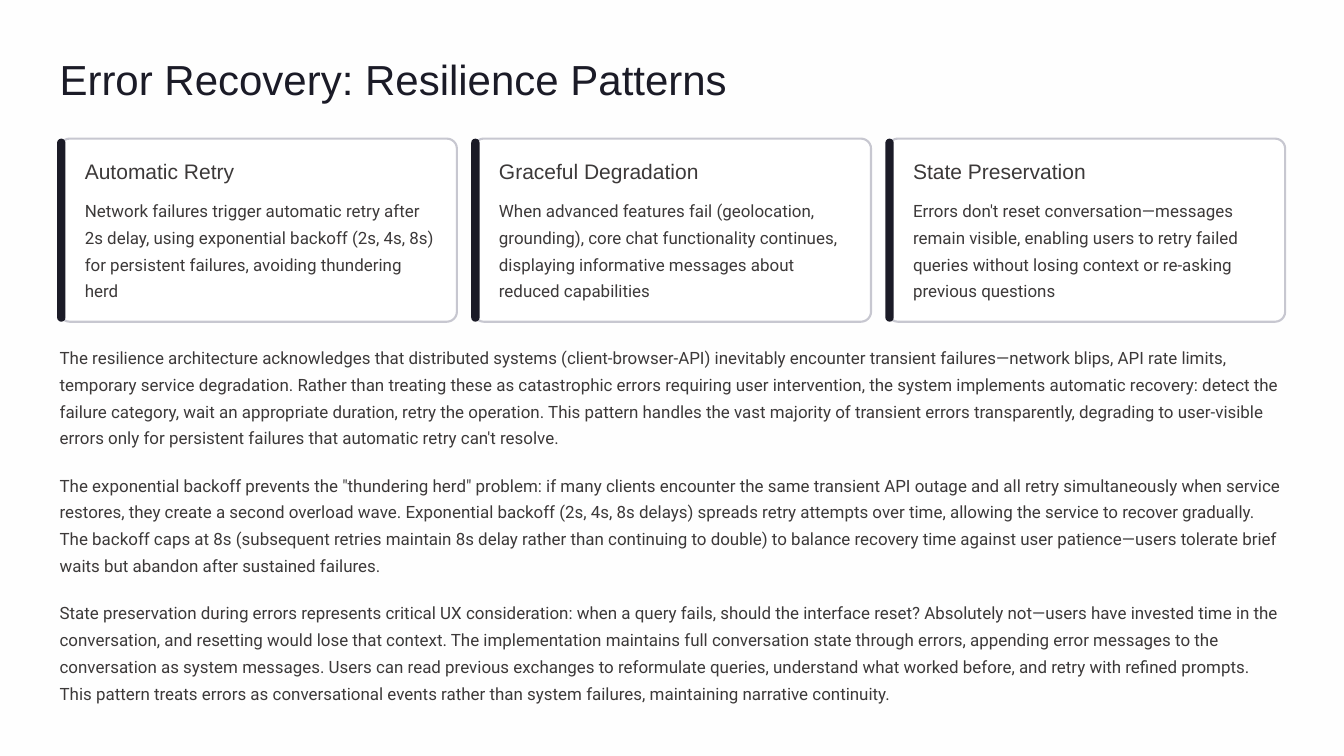
from dataclasses import dataclass

from pptx import Presentation
from pptx.dml.color import RGBColor
from pptx.enum.shapes import MSO_SHAPE
from pptx.enum.text import MSO_ANCHOR
from pptx.shapes.autoshape import Shape
from pptx.slide import Slide
from pptx.util import Inches, Pt

INK = "1B1B27"
BODY = "3C3939"
BORDER = "C7C7D0"
WHITE = "FFFFFF"
PAGE = "FEFEFE"

LEFT = 0.71
CARD_TOP = 1.65
CARD_WIDTH = 4.73
CARD_HEIGHT = 2.18
CARD_PITCH = 4.93
CARD_PAD = 0.3
PARAGRAPH_TOP = 4.06
PARAGRAPH_PITCH = 1.52
PARAGRAPH_WIDTH = 14.59
FOUR_LINES = 1.29


@dataclass
class Card:
    title: str
    text: str


CARDS = [
    Card(
        "Automatic Retry",
        "Network failures trigger automatic retry after 2s delay, using exponential "
        "backoff (2s, 4s, 8s) for persistent failures, avoiding thundering herd",
    ),
    Card(
        "Graceful Degradation",
        "When advanced features fail (geolocation, grounding), core chat functionality "
        "continues, displaying informative messages about reduced capabilities",
    ),
    Card(
        "State Preservation",
        "Errors don't reset conversation—messages remain visible, enabling users to "
        "retry failed queries without losing context or re-asking previous questions",
    ),
]

PARAGRAPHS = [
    "The resilience architecture acknowledges that distributed systems "
    "(client-browser-API) inevitably encounter transient failures—network blips, API "
    "rate limits, temporary service degradation. Rather than treating these as "
    "catastrophic errors requiring user intervention, the system implements automatic "
    "recovery: detect the failure category, wait an appropriate duration, retry the "
    "operation. This pattern handles the vast majority of transient errors "
    "transparently, degrading to user-visible errors only for persistent failures that "
    "automatic retry can't resolve.",
    'The exponential backoff prevents the "thundering herd" problem: if many clients '
    "encounter the same transient API outage and all retry simultaneously when service "
    "restores, they create a second overload wave. Exponential backoff (2s, 4s, 8s "
    "delays) spreads retry attempts over time, allowing the service to recover "
    "gradually. The backoff caps at 8s (subsequent retries maintain 8s delay rather "
    "than continuing to double) to balance recovery time against user patience—users "
    "tolerate brief waits but abandon after sustained failures.",
    "State preservation during errors represents critical UX consideration: when a "
    "query fails, should the interface reset? Absolutely not—users have invested time "
    "in the conversation, and resetting would lose that context. The implementation "
    "maintains full conversation state through errors, appending error messages to the "
    "conversation as system messages. Users can read previous exchanges to reformulate "
    "queries, understand what worked before, and retry with refined prompts. This "
    "pattern treats errors as conversational events rather than system failures, "
    "maintaining narrative continuity.",
]


def rgb(color: str) -> RGBColor:
    return RGBColor.from_string(color)


def add_text(s: Slide, text: str, x: float, y: float, w: float, h: float, *,
             size: float = 14.5, font: str = "Roboto", color: str = BODY,
             spacing: float = 23, wrap: bool = True) -> None:
    tf = s.shapes.add_textbox(Inches(x), Inches(y), Inches(w), Inches(h)).text_frame
    tf.margin_left = tf.margin_right = tf.margin_top = tf.margin_bottom = 0
    tf.vertical_anchor = MSO_ANCHOR.TOP
    tf.word_wrap = wrap
    p = tf.paragraphs[0]
    p.line_spacing = Pt(spacing)
    r = p.add_run()
    r.text = text
    r.font.size = Pt(size)
    r.font.name = font
    r.font.color.rgb = rgb(color)


def add_rounded(s: Slide, x: float, y: float, w: float, h: float,
                radius: float, fill: str) -> Shape:
    sp = s.shapes.add_shape(
        MSO_SHAPE.ROUNDED_RECTANGLE, Inches(x), Inches(y), Inches(w), Inches(h))
    sp.shadow.inherit = False
    sp.adjustments[0] = radius
    sp.fill.solid()
    sp.fill.fore_color.rgb = rgb(fill)
    sp.line.fill.background()
    return sp


def add_card(s: Slide, card: Card, x: float) -> None:
    frame = add_rounded(s, x, CARD_TOP, CARD_WIDTH, CARD_HEIGHT, 0.055, WHITE)
    frame.line.color.rgb = rgb(BORDER)
    frame.line.width = Pt(1.8)
    add_rounded(s, x - 0.03, CARD_TOP, 0.1, CARD_HEIGHT, 0.5, INK)
    add_text(s, card.title, x + CARD_PAD, 1.87, 2.59, 0.32,
             size=18, font="Arial", spacing=22.5, wrap=False)
    add_text(s, card.text, x + CARD_PAD, 2.31, 4.2, FOUR_LINES)


def main() -> None:
    prs = Presentation()
    prs.slide_width, prs.slide_height = Inches(16), Inches(9)
    s = prs.slides.add_slide(prs.slide_layouts[6])
    s.background.fill.solid()
    s.background.fill.fore_color.rgb = rgb(PAGE)

    add_text(s, "Error Recovery: Resilience Patterns", LEFT, 0.61, 8.5, 0.63,
             size=36, font="Arial", color=INK, spacing=45, wrap=False)
    for i, card in enumerate(CARDS):
        add_card(s, card, LEFT + i * CARD_PITCH)
    for i, text in enumerate(PARAGRAPHS):
        add_text(s, text, LEFT, PARAGRAPH_TOP + i * PARAGRAPH_PITCH,
                 PARAGRAPH_WIDTH, FOUR_LINES)

    prs.save("out.pptx")


if __name__ == "__main__":
    main()
